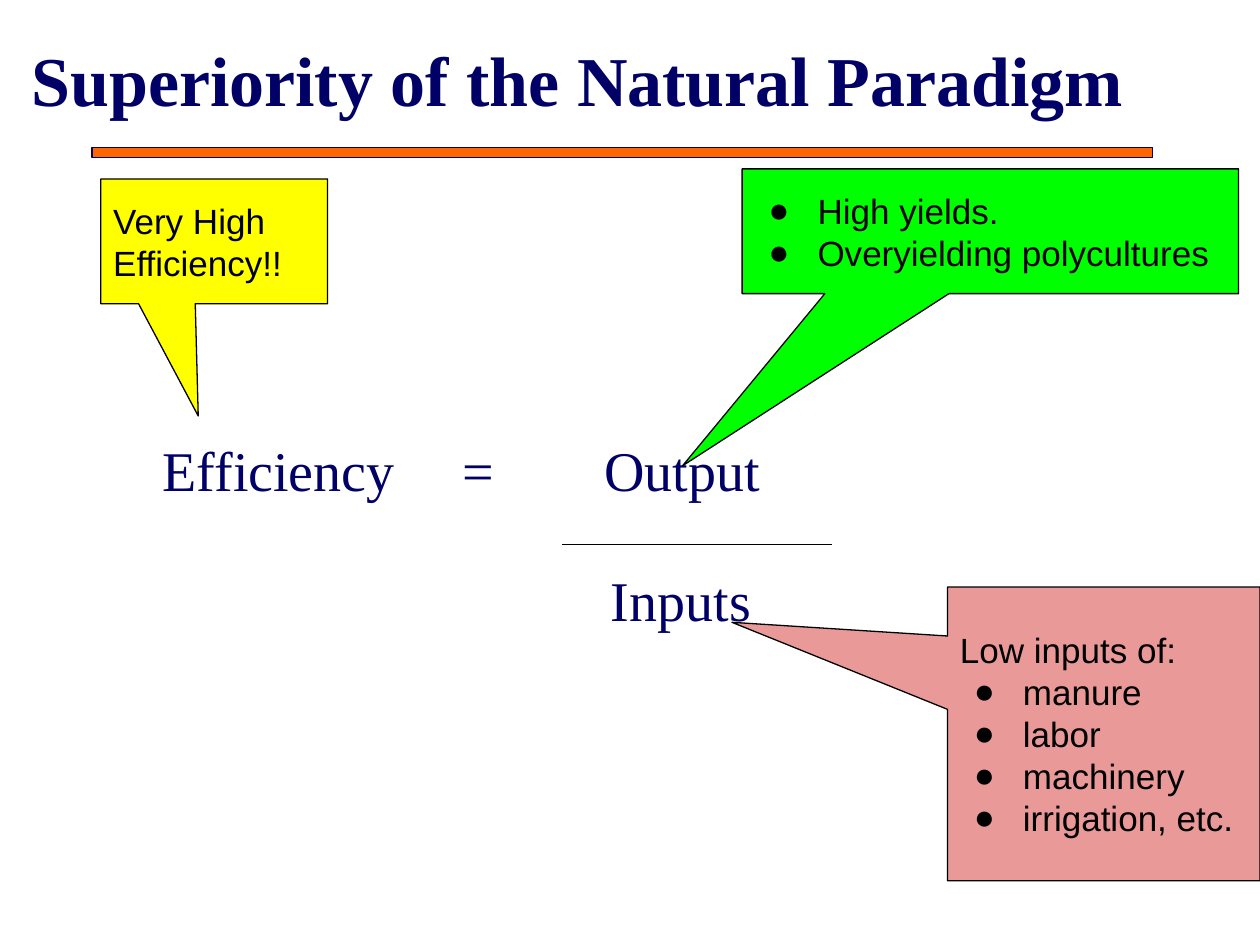
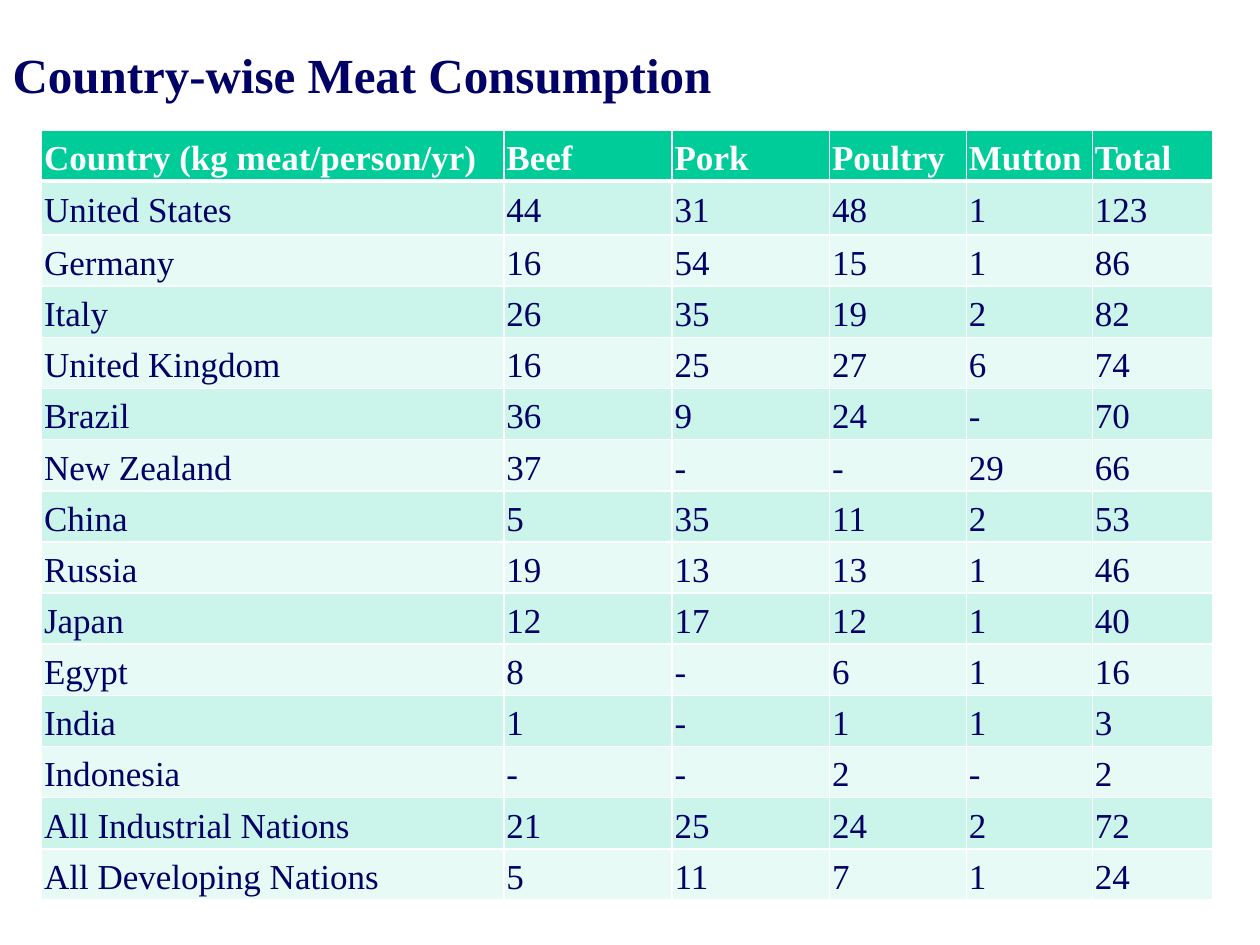
from dataclasses import dataclass

from lxml import etree
from pptx import Presentation
from pptx.dml.color import RGBColor as RGB
from pptx.enum.shapes import MSO_CONNECTOR as CONN, MSO_SHAPE as SHAPE
from pptx.enum.text import MSO_ANCHOR as ANCHOR, MSO_AUTO_SIZE as AUTO, PP_ALIGN as ALIGN
from pptx.oxml.ns import qn
from pptx.util import Emu, Inches, Pt

COLS, ROWS = 100, 75

MEAT = """Country (kg meat/person/yr)|Beef|Pork|Poultry|Mutton|Total
United States|44|31|48|1|123
Germany|16|54|15|1|86
Italy|26|35|19|2|82
United Kingdom|16|25|27|6|74
Brazil|36|9|24|-|70
New Zealand|37|-|-|29|66
China|5|35|11|2|53
Russia|19|13|13|1|46
Japan|12|17|12|1|40
Egypt|8|-|6|1|16
India|1|-|1|1|3
Indonesia|-|-|2|-|2
All Industrial Nations|21|25|24|2|72
All Developing Nations|5|11|7|1|24"""


@dataclass(frozen=True)
class Theme:
    navy: str = "000066"
    black: str = "000000"
    white: str = "FFFFFF"
    orange: str = "FF6600"
    green: str = "00FF00"
    pink: str = "EA9999"
    yellow: str = "FFFF00"
    header: str = "00CC99"
    bands: tuple = ("E7FAF5", "CBF4EA")
    serif: str = "Times New Roman"
    sans: str = "Arial"
    title: int = 40
    small_title: int = 28
    formula: int = 32
    body: int = 20
    line: float = 0.75


def put(obj, values):
    for name, value in values.items():
        setattr(obj, name, value)


def sub(parent, tag, **attrs):
    return etree.SubElement(parent, qn(tag), attrs)


class Deck:
    """Slide builder on a grid of 100 columns and 75 rows."""

    def __init__(self, theme):
        self.t = theme
        self.prs = Presentation()
        put(self.prs, {"slide_width": Inches(10), "slide_height": Inches(7.5)})
        self.s = None

    def x(self, cols):
        return Emu(round(self.prs.slide_width * cols / COLS))

    def y(self, rows):
        return Emu(round(self.prs.slide_height * rows / ROWS))

    def box(self, left, top, width, height):
        return self.x(left), self.y(top), self.x(width), self.y(height)

    def slide(self, layout):
        self.s = self.prs.slides.add_slide(self.prs.slide_layouts[layout])

    def font(self, p, size, face, color, bold=False):
        put(p.font, {"size": Pt(size), "name": face, "bold": bold})
        p.font.color.rgb = RGB.from_string(color)

    def frame(self, tf, anchor=ANCHOR.MIDDLE):
        put(tf, {"word_wrap": True, "auto_size": AUTO.NONE, "vertical_anchor": anchor,
                 "margin_left": self.x(1), "margin_top": self.y(1),
                 "margin_right": self.x(1), "margin_bottom": self.y(1)})

    def place(self, sp, at):
        put(sp, dict(zip(("left", "top", "width", "height"), self.box(*at))))

    def title(self, text, at, size):
        sp = self.s.shapes.title
        self.place(sp, at)
        self.frame(sp.text_frame)
        p = sp.text_frame.paragraphs[0]
        put(p, {"text": text, "alignment": ALIGN.LEFT})
        self.font(p, size, self.t.serif, self.t.navy, True)

    def formula(self, sp, text):
        self.frame(sp.text_frame, ANCHOR.TOP)
        p = sp.text_frame.paragraphs[0]
        put(p, {"text": text, "alignment": ALIGN.LEFT, "space_before": Pt(0)})
        pPr = p._p.get_or_add_pPr()
        pPr.attrib.update({"marL": "0", "indent": "0"})
        sub(pPr, "a:buNone")
        self.font(p, self.t.formula, self.t.serif, self.t.navy)

    def body(self, text, at):
        sp = self.s.placeholders[1]
        self.place(sp, at)
        self.formula(sp, text)

    def label(self, text, at):
        self.formula(self.s.shapes.add_textbox(*self.box(*at)), text)

    def shape(self, kind, at, fill, line):
        sp = self.s.shapes.add_shape(kind, *self.box(*at))
        sp.shadow.inherit = False
        sp.fill.solid()
        sp.fill.fore_color.rgb = RGB.from_string(fill)
        sp.line.color.rgb = RGB.from_string(line)
        sp.line.width = Pt(self.t.line)
        return sp

    def master_bar(self, at):
        sp = self.shape(SHAPE.RECTANGLE, at, self.t.orange, self.t.navy)
        self.prs.slide_master.shapes.element.insert(2, sp.element)

    def bullet(self, p):
        pPr = p._p.get_or_add_pPr()
        pPr.attrib.update({"marL": str(self.x(5)), "indent": str(-self.x(3.9))})
        sub(sub(pPr, "a:buClr"), "a:srgbClr", val=self.t.black)
        sub(pPr, "a:buFont", typeface=self.t.sans)
        sub(pPr, "a:buChar", char="●")

    def callout(self, at, tip, fill, lead="", items=()):
        sp = self.shape(SHAPE.RECTANGULAR_CALLOUT, at, fill, self.t.black)
        for i, value in enumerate(tip):
            sp.adjustments[i] = value
        tf = sp.text_frame
        self.frame(tf)
        lines = ([lead] if lead else []) + list(items)
        for i, text in enumerate(lines):
            p = tf.add_paragraph() if i else tf.paragraphs[0]
            put(p, {"text": text, "alignment": ALIGN.LEFT})
            if text in items:
                self.bullet(p)
            self.font(p, self.t.body, self.t.sans, self.t.black)

    def rule(self, left, right, row):
        c = self.s.shapes.add_connector(CONN.STRAIGHT, self.x(left), self.y(row),
                                        self.x(right), self.y(row))
        c.line.color.rgb = RGB.from_string(self.t.black)
        c.line.width = Pt(self.t.line)
        sub(c.element.spPr, "a:effectLst")

    def borders(self, cell, bottom):
        tcPr = cell._tc.get_or_add_tcPr()
        for i, (side, width) in enumerate(zip("LRTB", (1, 1, 1, bottom))):
            ln = etree.Element(qn(f"a:ln{side}"), w=str(Pt(width)))
            sub(sub(ln, "a:solidFill"), "a:srgbClr", val=self.t.white)
            tcPr.insert(i, ln)

    def cell(self, cell, text, head, band):
        margins = ("margin_left", "margin_right", "margin_top", "margin_bottom")
        put(cell, dict.fromkeys(margins, self.x(0.2)))
        cell.vertical_anchor = ANCHOR.MIDDLE
        cell.fill.solid()
        cell.fill.fore_color.rgb = RGB.from_string(self.t.header if head else band)
        self.borders(cell, 3 if head else 1)
        p = cell.text_frame.paragraphs[0]
        put(p, {"text": text, "line_spacing": 1.15})
        self.font(p, self.t.body, self.t.serif, self.t.white if head else self.t.navy, head)

    def table(self, rows, left, top, widths, heights):
        at = self.box(left, top, sum(widths), sum(heights))
        tbl = self.s.shapes.add_table(len(rows), len(widths), *at).table
        tbl.horz_banding = False
        for col, width in zip(tbl.columns, widths):
            col.width = self.x(width)
        for r, (row, height) in enumerate(zip(rows, heights)):
            tbl.rows[r].height = self.y(height)
            for c, text in enumerate(row):
                self.cell(tbl.cell(r, c), text, r == 0, self.t.bands[r % 2])


def efficiency_slide(d):
    t = d.t
    top, height = 33.6, 8.9
    d.slide(1)
    d.master_bar((7.3, 11.7, 84.2, 0.8))
    d.title("Superiority of the Natural Paradigm", (1.5, 0.8, 96.8, 10.8), t.title)
    d.body("Efficiency", (11.9, top, 22, height))
    d.label("=", (35.7, top, 6, height))
    d.label("Output", (47, top, 16, height))
    d.label("Inputs", (47.5, 43.9, 16, 7))
    d.callout((58.9, 13.4, 39.4, 9.9), (-0.62, 1.88), t.green,
              items=("High yields.", "Overyielding polycultures"))
    d.callout((75.2, 46.6, 24.8, 23.3), (-1.19, -0.38), t.pink, "Low inputs of:",
              ("manure", "labor", "machinery", "irrigation, etc."))
    d.callout((8, 14.2, 18, 9.9), (-0.07, 1.4), t.yellow, "Very High Efficiency!!")
    d.rule(44.6, 66, 43.2)


def meat_slide(d):
    d.slide(5)
    d.title("Country-wise Meat Consumption", (0, 1.7, 97.5, 8.3), d.t.small_title)
    rows = [line.split("|") for line in MEAT.splitlines()]
    d.table(rows, 3.3, 10.3, (36.7, 13.35, 12.5, 10.85, 10, 9.6),
            [4.06, 4.3] + [4.06] * (len(rows) - 2))


def main():
    d = Deck(Theme())
    efficiency_slide(d)
    meat_slide(d)
    d.prs.save("out.pptx")


if __name__ == "__main__":
    main()
